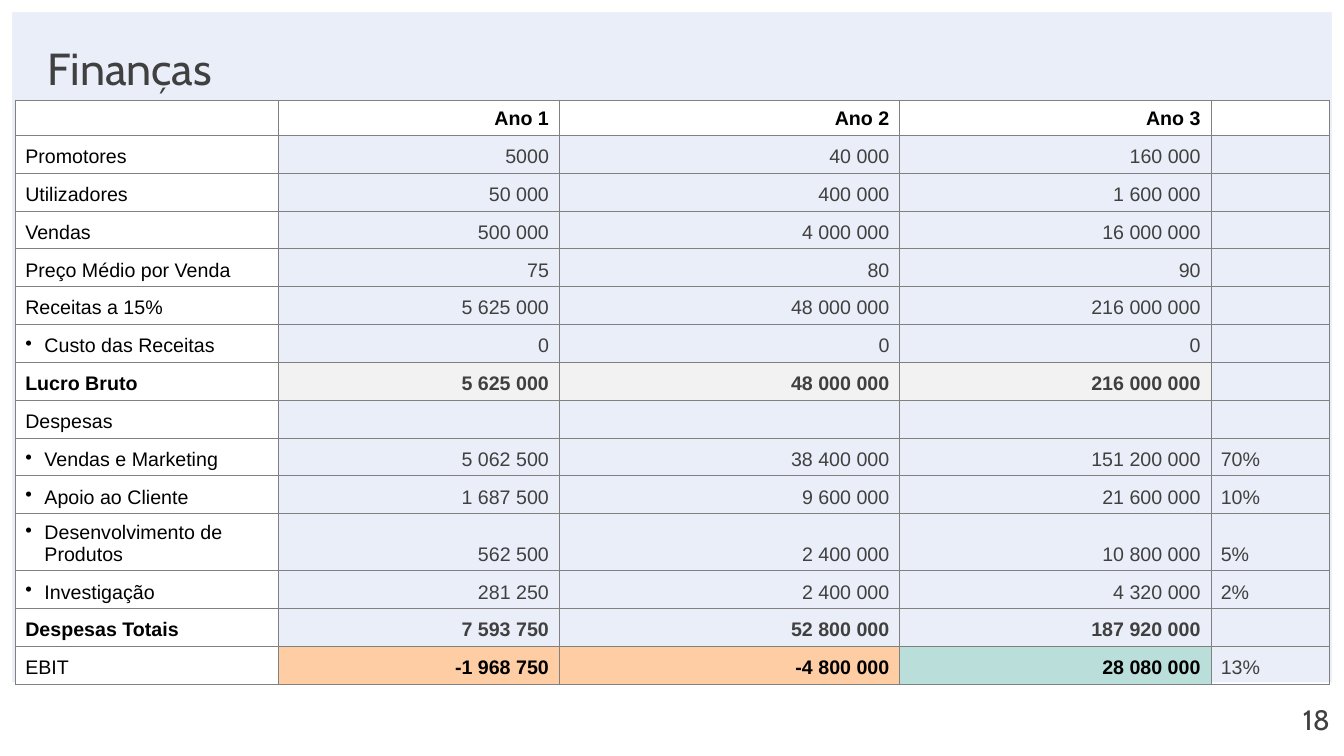
from lxml import etree
from pptx import Presentation
from pptx.dml.color import RGBColor
from pptx.enum.shapes import MSO_SHAPE
from pptx.enum.text import MSO_ANCHOR, PP_ALIGN
from pptx.oxml.ns import qn
from pptx.util import Inches, Pt

FRAME, RECT = MSO_SHAPE.FRAME, MSO_SHAPE.RECTANGLE
MIDDLE, BOTTOM = MSO_ANCHOR.MIDDLE, MSO_ANCHOR.BOTTOM
LEFT, RIGHT = PP_ALIGN.LEFT, PP_ALIGN.RIGHT

WHITE = RGBColor(0xFF, 0xFF, 0xFF)
BLACK = RGBColor(0x00, 0x00, 0x00)
INK = RGBColor(0x40, 0x40, 0x40)
RULE = RGBColor(0x80, 0x80, 0x80)
PAPER = RGBColor(0xEA, 0xEE, 0xF8)
GREY = RGBColor(0xF2, 0xF2, 0xF2)
ORANGE = RGBColor(0xFF, 0xCD, 0xA3)
GREEN = RGBColor(0xBA, 0xDE, 0xDA)

BULLET = "• "
COLUMNS = [2.61, 2.79, 3.38, 3.09, 1.18]
HEADER_ROW, BODY_ROW, TWO_LINE_ROW = 35, 37.5, 54
FINANCES = [
    ("", "Ano 1", "Ano 2", "Ano 3", ""),
    ("Promotores", "5000", "40 000", "160 000", ""),
    ("Utilizadores", "50 000", "400 000", "1 600 000", ""),
    ("Vendas", "500 000", "4 000 000", "16 000 000", ""),
    ("Preço Médio por Venda", "75", "80", "90", ""),
    ("Receitas a 15%", "5 625 000", "48 000 000", "216 000 000", ""),
    ("• Custo das Receitas", "0", "0", "0", ""),
    ("Lucro Bruto", "5 625 000", "48 000 000", "216 000 000", ""),
    ("Despesas", "", "", "", ""),
    ("• Vendas e Marketing", "5 062 500", "38 400 000", "151 200 000", "70%"),
    ("• Apoio ao Cliente", "1 687 500", "9 600 000", "21 600 000", "10%"),
    ("• Desenvolvimento de Produtos", "562 500", "2 400 000", "10 800 000", "5%"),
    ("• Investigação", "281 250", "2 400 000", "4 320 000", "2%"),
    ("Despesas Totais", "7 593 750", "52 800 000", "187 920 000", ""),
    ("EBIT", "-1 968 750", "-4 800 000", "28 080 000", "13%"),
]
BOLD_ROWS = {"", "Lucro Bruto", "Despesas Totais"}
VALUE_FILLS = {
    "Lucro Bruto": [GREY, GREY, GREY],
    "EBIT": [ORANGE, ORANGE, GREEN],
}


def write(tf, text, font="Arial", size=14, color=INK, bold=False, align=LEFT, spacing=None):
    p = tf.paragraphs[0]
    p.alignment = align
    if spacing:
        p.line_spacing = spacing
    if not text:
        etree.SubElement(p._p, qn("a:endParaRPr"), sz=str(size * 100))
        return
    if text.startswith(BULLET):
        pPr = p._p.get_or_add_pPr()
        pPr.set("marL", str(Inches(0.19)))
        pPr.set("indent", str(-Inches(0.19)))
        etree.SubElement(pPr, qn("a:buChar"), char=BULLET.strip())
    r = p.add_run()
    r.text = text.removeprefix(BULLET)
    r.font.name, r.font.size, r.font.bold = font, Pt(size), bold
    r.font.color.rgb = color


class Deck:
    """Draws on the current slide, with places given in percent of its size."""

    def __init__(self, prs, paper):
        self.prs = prs
        self.s = prs.slides.add_slide(prs.slide_layouts[6])
        self.s.background.fill.solid()
        self.s.background.fill.fore_color.rgb = paper

    def place(self, x, y, w, h):
        across, down = self.prs.slide_width / 100, self.prs.slide_height / 100
        return [round(v) for v in (x * across, y * down, w * across, h * down)]

    def shape(self, kind, *at, fill=WHITE):
        sp = self.s.shapes.add_shape(kind, *self.place(*at))
        sp.shadow.inherit = False
        sp.fill.solid()
        sp.fill.fore_color.rgb = fill
        sp.line.fill.background()
        return sp

    def text(self, text, *at, **style):
        tf = self.s.shapes.add_textbox(*self.place(*at)).text_frame
        tf.word_wrap = True
        tf.vertical_anchor = MIDDLE
        tf.margin_left = tf.margin_right = tf.margin_top = tf.margin_bottom = 0
        write(tf, text, font="Cabin", **style)

    def cell(self, cell, text, fill=None, **style):
        tcPr = cell._tc.get_or_add_tcPr()
        for side in ("lnL", "lnR", "lnT", "lnB"):
            ln = etree.SubElement(tcPr, qn(f"a:{side}"), w=str(Pt(0.25)))
            solid = etree.SubElement(ln, qn("a:solidFill"))
            etree.SubElement(solid, qn("a:srgbClr"), val=str(RULE))
        cell.vertical_anchor = BOTTOM
        if fill is None:
            cell.fill.background()
        else:
            cell.fill.solid()
            cell.fill.fore_color.rgb = fill
        write(cell.text_frame, text, **style)

    def table(self, rows, columns, heights, *at):
        x, y, w, h = self.place(*at)
        table = self.s.shapes.add_table(len(rows), len(columns), x, y, w, h).table
        table.first_row = table.horz_banding = False
        for column, share in zip(table.columns, columns):
            column.width = round(w * share / sum(columns))
        for row, share in zip(table.rows, heights):
            row.height = round(h * share / sum(heights))
        for i, texts in enumerate(rows):
            name = texts[0]
            fills = [WHITE, *VALUE_FILLS.get(name, [None] * 3), None]
            for j, text in enumerate(texts):
                value = 0 < j < 4
                black = i == 0 or j == 0 or (name == "EBIT" and value)
                self.cell(
                    table.cell(i, j), text,
                    fill=WHITE if i == 0 else fills[j],
                    color=BLACK if black else INK,
                    bold=name in BOLD_ROWS or (name == "EBIT" and value),
                    align=RIGHT if value else LEFT,
                )


def main():
    prs = Presentation()
    prs.slide_width, prs.slide_height = Inches(13.33), Inches(7.5)
    deck = Deck(prs, PAPER)
    deck.shape(RECT, 0, 90.27, 100, 9.73)
    deck.shape(FRAME, 0, 0, 100, 100).adjustments[0] = 0.016
    deck.text("Finanças", 3.53, 6.27, 93, 6.27, size=32, spacing=0.9)
    heights = [TWO_LINE_ROW if len(row[0]) > 25 else BODY_ROW for row in FINANCES]
    heights[0] = HEADER_ROW
    deck.table(FINANCES, COLUMNS, heights, 1.13, 13.2, 97.8, 76.93)
    deck.text("18", 95.87, 91.07, 3.08, 8.13, size=20, align=RIGHT)
    prs.save("out.pptx")


if __name__ == "__main__":
    main()
